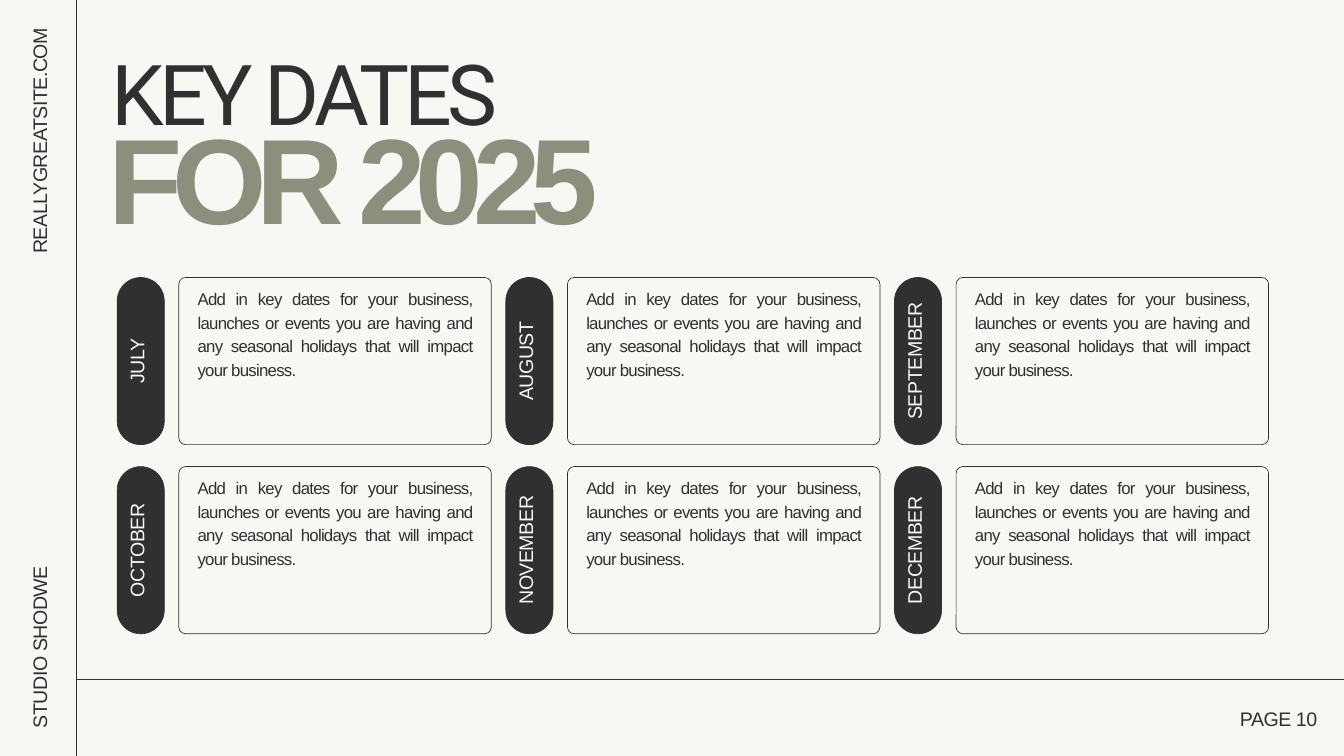
"""Build the key dates slide for the second half of 2025."""

from dataclasses import dataclass

import lxml.etree
import pptx
import pptx.dml.color
import pptx.enum.shapes
import pptx.enum.text
import pptx.oxml.ns
import pptx.util

Cm = pptx.util.Cm
Pt = pptx.util.Pt
RGBColor = pptx.dml.color.RGBColor
Align = pptx.enum.text.PP_ALIGN
Anchor = pptx.enum.text.MSO_ANCHOR

CREAM = RGBColor(0xF7, 0xF7, 0xF3)
CHARCOAL = RGBColor(0x30, 0x30, 0x30)
OLIVE = RGBColor(0x8C, 0x8F, 0x7B)

SLIDE_WIDTH, SLIDE_HEIGHT = 50.8, 28.58
RULE_X, RULE_Y = 2.87, 25.68
CARD_LEFT, CARD_TOP = 6.76, 10.49
CARD_WIDTH, CARD_HEIGHT = 11.81, 6.32
COLUMN_STEP, ROW_STEP = 14.69, 7.15
COLUMNS = 3
PILL_THICKNESS = 1.78

MONTHS = ("JULY", "AUGUST", "SEPTEMBER", "OCTOBER", "NOVEMBER", "DECEMBER")
CARD_TEXT = (
    "Add in key dates for your business, launches or events you are having "
    "and any seasonal holidays that will impact your business."
)


@dataclass(frozen=True)
class Box:
    """A frame in centimetres with a rotation in degrees."""

    left: float
    top: float
    width: float
    height: float
    rotation: int = 0

    def lengths(self) -> tuple:
        """Return the frame as lengths."""
        return Cm(self.left), Cm(self.top), Cm(self.width), Cm(self.height)


@dataclass(frozen=True)
class TextStyle:
    """The look of a one-paragraph text box."""

    size: float = 21
    line_spacing: float = 29.4
    tracking: float = -0.5
    color: RGBColor = CHARCOAL
    font: str = "Arial"
    bold: bool = False
    alignment: Align = Align.LEFT
    anchor: Anchor = Anchor.TOP
    margin: float = 0


LABEL = TextStyle()
LABEL_RIGHT = TextStyle(alignment=Align.RIGHT)
MONTH = TextStyle(color=CREAM, alignment=Align.CENTER, anchor=Anchor.MIDDLE, margin=0.15)
BODY = TextStyle(18, 25.2, -0.8, alignment=Align.JUSTIFY, margin=0.71)
TITLE = TextStyle(90, 63, -5, font="Roboto")
TITLE_BOLD = TextStyle(130, 97.5, -10.7, OLIVE, bold=True)

HEADINGS = (
    ("STUDIO SHODWE", Box(-2.29, 23.32, 7.39, 1.02, 270), LABEL),
    ("REALLYGREATSITE.COM", Box(-3.18, 5.13, 9.17, 1.02, 270), LABEL_RIGHT),
    ("PAGE 10", Box(46.13, 26.59, 3.66, 1.02), LABEL_RIGHT),
    ("FOR 2025", Box(4.09, 5.97, 30.1, 3.94), TITLE_BOLD),
    ("KEY DATES", Box(4.22, 3.15, 30.1, 2.9), TITLE),
)


def add_text(slide: pptx.slide.Slide, text: str, box: Box, style: TextStyle) -> None:
    """Add a text box holding one styled paragraph."""
    shape = slide.shapes.add_textbox(*box.lengths())
    shape.rotation = box.rotation
    text_frame = shape.text_frame
    text_frame.word_wrap = True
    text_frame.vertical_anchor = style.anchor
    text_frame.margin_left = text_frame.margin_right = Cm(style.margin)
    text_frame.margin_top = text_frame.margin_bottom = Cm(style.margin)
    text_frame.text = text
    paragraph = text_frame.paragraphs[0]
    paragraph.alignment = style.alignment
    paragraph.line_spacing = Pt(style.line_spacing)
    font = paragraph.runs[0].font
    font.name = style.font
    font.size = Pt(style.size)
    font.bold = style.bold
    font.color.rgb = style.color
    paragraph.runs[0]._r.get_or_add_rPr().set("spc", str(round(style.tracking * 100)))


def add_rounded(
    slide: pptx.slide.Slide, box: Box, roundness: float, fill: RGBColor | None = None
) -> None:
    """Add an outlined rounded rectangle, filled if a colour is given."""
    shape = slide.shapes.add_shape(
        pptx.enum.shapes.MSO_SHAPE.ROUNDED_RECTANGLE, *box.lengths()
    )
    shape.adjustments[0] = roundness
    shape.rotation = box.rotation
    shape.shadow.inherit = False
    if fill is None:
        shape.fill.background()
    else:
        shape.fill.solid()
        shape.fill.fore_color.rgb = fill
    shape.line.color.rgb = CHARCOAL
    shape.line.width = Pt(0.75)


def add_rule(
    slide: pptx.slide.Slide, start_x: float, start_y: float, end_x: float, end_y: float
) -> None:
    """Add a thin straight line."""
    connector = slide.shapes.add_connector(
        pptx.enum.shapes.MSO_CONNECTOR.STRAIGHT,
        Cm(start_x), Cm(start_y), Cm(end_x), Cm(end_y),
    )
    connector.line.color.rgb = CHARCOAL
    connector.line.width = Pt(0.75)
    lxml.etree.SubElement(connector._element.spPr, pptx.oxml.ns.qn("a:effectLst"))


def add_month(slide: pptx.slide.Slide, month: str, left: float, top: float) -> None:
    """Add a month's card and its upright pill."""
    add_rounded(slide, Box(left, top, CARD_WIDTH, CARD_HEIGHT), 0.04)
    add_text(slide, CARD_TEXT, Box(left, top - 0.41, CARD_WIDTH, 6.71), BODY)
    pill = Box(left - 4.6, top + 2.27, CARD_HEIGHT, PILL_THICKNESS, 270)
    add_rounded(slide, pill, 0.5, CHARCOAL)
    add_text(slide, month, Box(left - 4.83, top + 2.03, CARD_HEIGHT, 2.26, 270), MONTH)


def main() -> None:
    """Build and save the presentation."""
    presentation = pptx.Presentation()
    presentation.slide_width = Cm(SLIDE_WIDTH)
    presentation.slide_height = Cm(SLIDE_HEIGHT)
    slide = presentation.slides.add_slide(presentation.slide_layouts[6])
    slide.background.fill.solid()
    slide.background.fill.fore_color.rgb = CREAM

    add_rule(slide, RULE_X, 0, RULE_X, SLIDE_HEIGHT)
    add_rule(slide, RULE_X, RULE_Y, SLIDE_WIDTH, RULE_Y)
    for text, box, style in HEADINGS:
        add_text(slide, text, box, style)
    for index, month in enumerate(MONTHS):
        row, column = divmod(index, COLUMNS)
        add_month(
            slide, month, CARD_LEFT + column * COLUMN_STEP, CARD_TOP + row * ROW_STEP
        )
    presentation.save("out.pptx")


if __name__ == "__main__":
    main()
